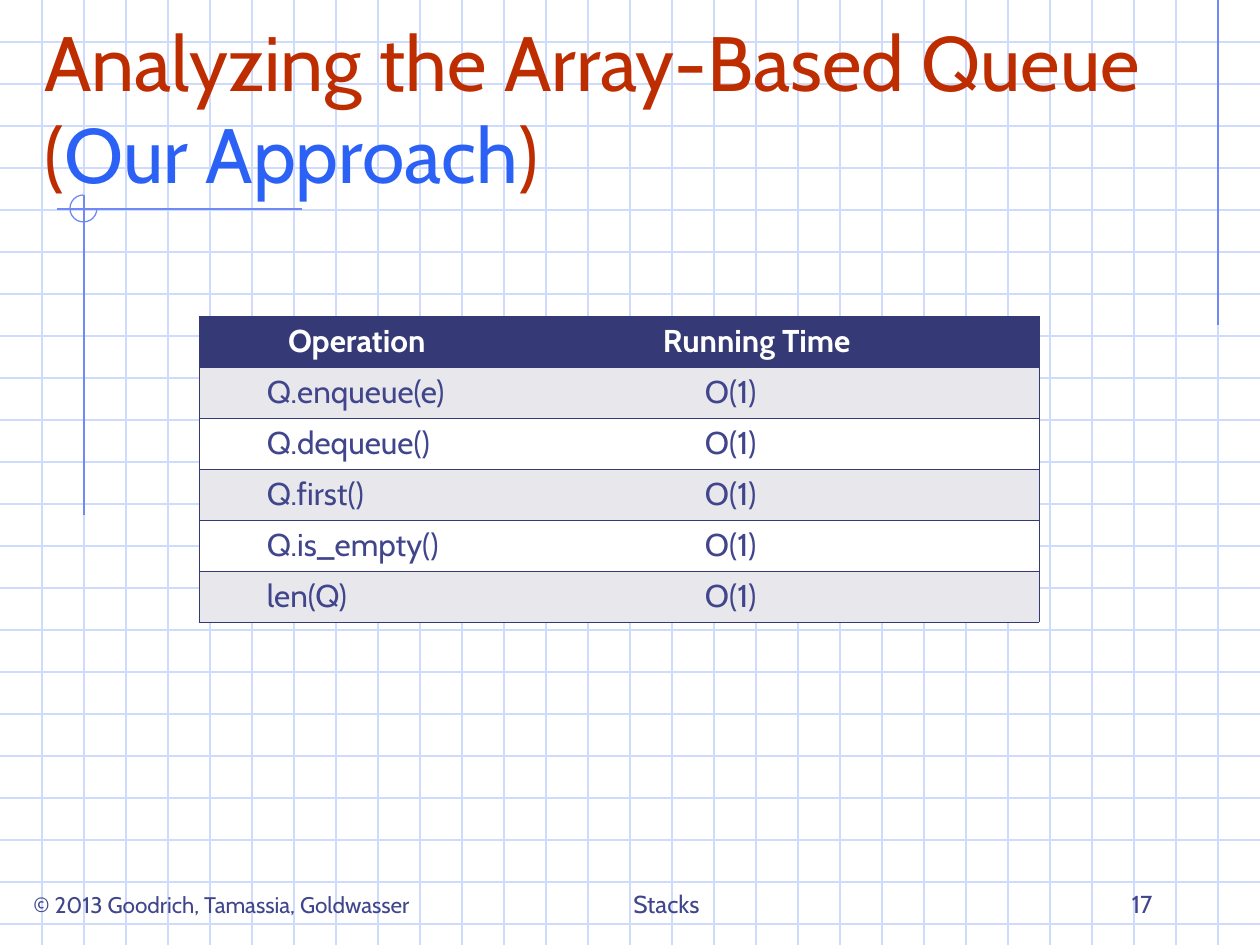
from dataclasses import dataclass

from lxml import etree
from pptx import Presentation
from pptx.dml.color import RGBColor
from pptx.enum.shapes import MSO_CONNECTOR, MSO_SHAPE
from pptx.enum.text import MSO_ANCHOR, PP_ALIGN
from pptx.oxml.ns import qn
from pptx.slide import Slide
from pptx.util import Emu, Pt

STRAIGHT = MSO_CONNECTOR.STRAIGHT
ARC = MSO_SHAPE.ARC
BOTTOM = MSO_ANCHOR.BOTTOM
LEFT, CENTER, RIGHT = PP_ALIGN.LEFT, PP_ALIGN.CENTER, PP_ALIGN.RIGHT

GRID_BLUE = RGBColor(0xCF, 0xDB, 0xFD)
ACCENT_BLUE = RGBColor(0x6F, 0x89, 0xF7)
TITLE_RED = RGBColor(0xBE, 0x2D, 0x00)
TITLE_BLUE = RGBColor(0x2C, 0x61, 0xF6)
TEXT_BLUE = RGBColor(0x40, 0x45, 0x8C)
HEADER_BLUE = RGBColor(0x35, 0x3A, 0x77)
BAND_GREY = RGBColor(0xE8, 0xE8, 0xEC)
WHITE = RGBColor(0xFF, 0xFF, 0xFF)

FONT = "Cabin"
EMU_PER_PX = 914400 / 126
WIDTH, HEIGHT = 1260, 945
GRID_STEP = 42
LINE_POINTS = 0.75
BORDER_POINTS = 0.45
TABLE_LEFT, TABLE_TOP, ROW_HEIGHT = 199, 316, 51
SIDES = ("lnL", "lnR", "lnT", "lnB")


@dataclass(frozen=True)
class Line:
    x1: int
    y1: int
    x2: int
    y2: int
    color: RGBColor = ACCENT_BLUE


@dataclass(frozen=True)
class TextRun:
    text: str
    color: RGBColor = TEXT_BLUE


@dataclass(frozen=True)
class TextBox:
    left: int
    top: int
    width: int
    height: int
    size: float
    runs: tuple[TextRun, ...]
    alignment: PP_ALIGN = LEFT
    vertical_inset: int = 6


@dataclass(frozen=True)
class Column:
    width: int
    header_indent: int
    body_indent: int
    outer_side: str
    texts: tuple[str, ...]


ACCENT_LINES = (
    Line(1218, 0, 1218, 325),
    Line(302, 209, 57, 209),
    Line(84, 195, 84, 515),
)
TEXT_BOXES = (
    TextBox(32, 42, 1176, 157, 44, (
        TextRun("Analyzing the Array-Based Queue (", TITLE_RED),
        TextRun("Our Approach", TITLE_BLUE),
        TextRun(")", TITLE_RED),
    ), vertical_inset=0),
    TextBox(21, 861, 473, 63, 12.9, (TextRun("© 2013 Goodrich, Tamassia, Goldwasser"),)),
    TextBox(504, 861, 325, 63, 14, (TextRun("Stacks"),), CENTER),
    TextBox(903, 861, 262, 63, 14, (TextRun("17"),), RIGHT),
)
OPERATIONS = ("Q.enqueue(e)", "Q.dequeue()", "Q.first()", "Q.is_empty()", "len(Q)")
COLUMNS = (
    Column(388, 89, 68, "lnL", ("Operation",) + OPERATIONS),
    Column(452, 76, 118, "lnR", ("Running Time",) + ("O(1)",) * len(OPERATIONS)),
)


def px(value: int) -> Emu:
    return Emu(round(value * EMU_PER_PX))


def add_run(paragraph, text_run: TextRun, size: float, bold: bool = False) -> None:
    run = paragraph.add_run()
    run.text = text_run.text
    run.font.name = FONT
    run.font.size = Pt(size)
    run.font.bold = bold
    run.font.color.rgb = text_run.color


def draw_line(slide: Slide, line: Line) -> None:
    connector = slide.shapes.add_connector(
        STRAIGHT, px(line.x1), px(line.y1), px(line.x2), px(line.y2))
    connector.line.color.rgb = line.color
    connector.line.width = Pt(LINE_POINTS)
    properties = connector.element.find(qn("p:spPr"))
    etree.SubElement(properties, qn("a:effectLst"))


def draw_grid(slide: Slide) -> None:
    for y in range(GRID_STEP, HEIGHT, GRID_STEP):
        draw_line(slide, Line(0, y, WIDTH, y, GRID_BLUE))
    for x in range(GRID_STEP, WIDTH, GRID_STEP):
        draw_line(slide, Line(x, 0, x, HEIGHT, GRID_BLUE))


def draw_corner_arc(slide: Slide) -> None:
    arc = slide.shapes.add_shape(ARC, px(70), px(195), px(27), px(27))
    arc.adjustments[0] = 0
    arc.adjustments[1] = 162
    arc.shadow.inherit = False
    arc.fill.background()
    arc.line.color.rgb = ACCENT_BLUE
    arc.line.width = Pt(LINE_POINTS)


def draw_text_box(slide: Slide, box: TextBox) -> None:
    shape = slide.shapes.add_textbox(px(box.left), px(box.top), px(box.width), px(box.height))
    frame = shape.text_frame
    frame.word_wrap = True
    frame.vertical_anchor = BOTTOM
    frame.margin_top = frame.margin_bottom = px(box.vertical_inset)
    paragraph = frame.paragraphs[0]
    paragraph.alignment = box.alignment
    for text_run in box.runs:
        add_run(paragraph, text_run, box.size)


def set_borders(cell, visible_sides: tuple[str, ...]) -> None:
    properties = cell._tc.get_or_add_tcPr()
    for index, side in enumerate(SIDES):
        border = etree.Element(qn(f"a:{side}"), w=str(Pt(BORDER_POINTS)))
        if side in visible_sides:
            fill = etree.SubElement(border, qn("a:solidFill"))
            etree.SubElement(fill, qn("a:srgbClr"), val=str(HEADER_BLUE))
        else:
            etree.SubElement(border, qn("a:noFill"))
        properties.insert(index, border)


def draw_table(slide: Slide) -> None:
    row_count = len(OPERATIONS) + 1
    table = slide.shapes.add_table(
        row_count, len(COLUMNS), px(TABLE_LEFT), px(TABLE_TOP),
        px(sum(column.width for column in COLUMNS)), px(row_count * ROW_HEIGHT)).table
    table.horz_banding = False
    for row in table.rows:
        row.height = px(ROW_HEIGHT)
    for column_index, column in enumerate(COLUMNS):
        table.columns[column_index].width = px(column.width)
        for row_index, text in enumerate(column.texts):
            header = row_index == 0
            cell = table.cell(row_index, column_index)
            cell.margin_left = px(column.header_indent if header else column.body_indent)
            cell.fill.solid()
            band = BAND_GREY if row_index % 2 else WHITE
            cell.fill.fore_color.rgb = HEADER_BLUE if header else band
            color = WHITE if header else TEXT_BLUE
            add_run(cell.text_frame.paragraphs[0], TextRun(text, color), 18, header)
            set_borders(cell, (column.outer_side, "lnT", "lnB"))


def main() -> None:
    presentation = Presentation()
    presentation.slide_width = px(WIDTH)
    presentation.slide_height = px(HEIGHT)
    slide = presentation.slides.add_slide(presentation.slide_layouts[6])
    draw_grid(slide)
    for line in ACCENT_LINES:
        draw_line(slide, line)
    draw_corner_arc(slide)
    for box in TEXT_BOXES:
        draw_text_box(slide, box)
    draw_table(slide)
    presentation.save("out.pptx")


if __name__ == "__main__":
    main()
